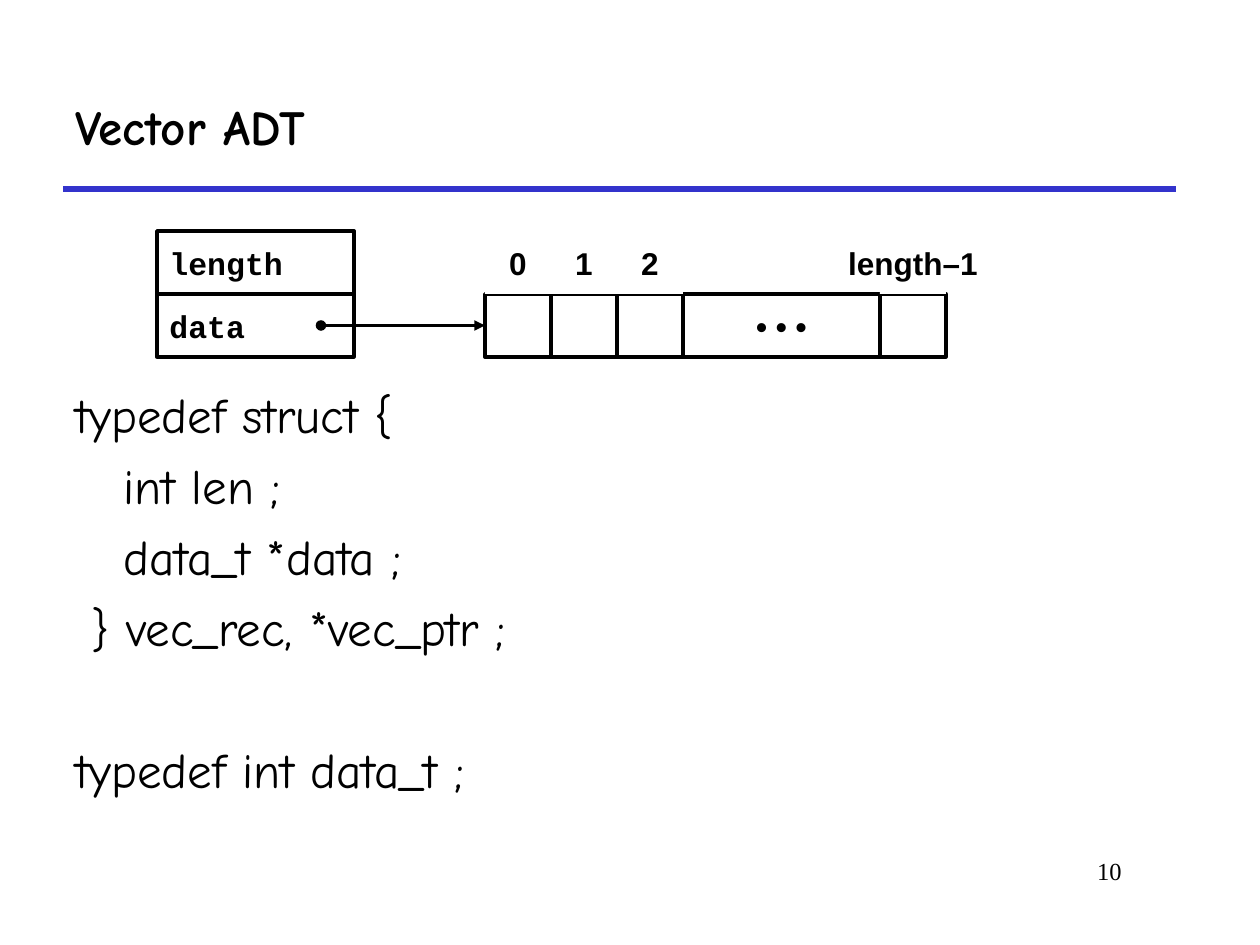
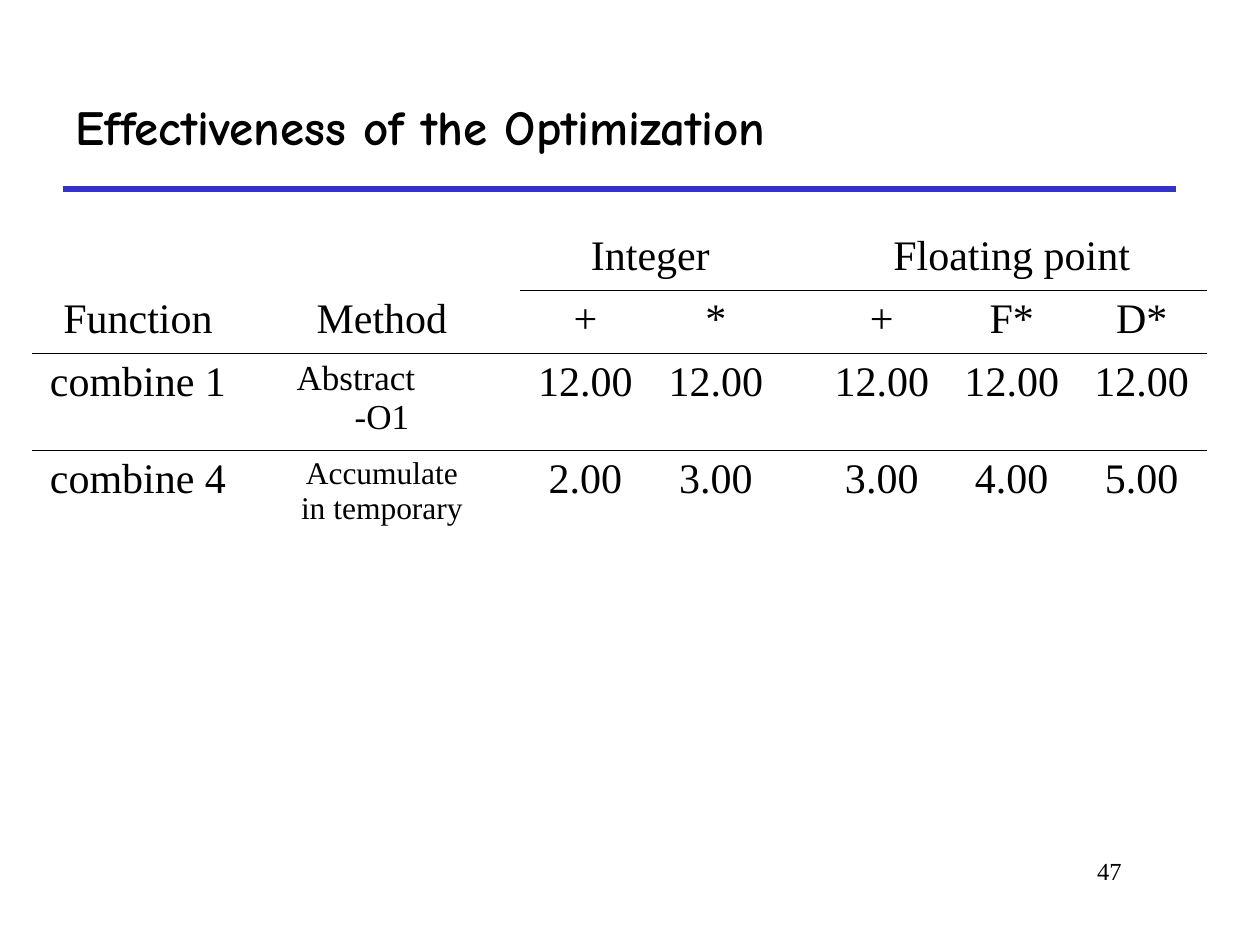
from dataclasses import dataclass

from lxml.etree import SubElement
from pptx import Presentation
from pptx.dml.color import RGBColor
from pptx.enum.shapes import MSO_CONNECTOR as Connector, MSO_SHAPE as Shape
from pptx.enum.text import MSO_ANCHOR as Anchor, PP_ALIGN as Align
from pptx.oxml import parse_xml
from pptx.oxml.ns import nsdecls, qn
from pptx.util import Emu, Pt


@dataclass(frozen=True)
class Theme:
    ink: str = "000000"
    paper: str = "FFFFFF"
    rule: str = "3333CC"
    title_font: str = "Comic Neue"
    plain_font: str = "Times New Roman"
    code_font: str = "Courier New"
    label_font: str = "Arial"
    title_size: int = 28
    table_size: int = 24
    method_size: int = 20
    small_size: int = 18
    number_size: int = 14


THEME = Theme()
PX_PER_INCH = 126
NO_TABLE_STYLE = "{2D5ABB26-0587-4C30-8999-92F81FD0307C}"

VECTOR_TITLE, VECTOR_NUMBER = "Vector ADT", "10"
RECORD_FIELDS = ["length", "data"]
# Each vector cell: index label above, text inside, width
VECTOR_CELLS = [
    ("0", "", 66),
    ("1", "", 66),
    ("2", "", 66),
    ("", "• • •", 197),
    ("length–1", "", 66),
]
# Each code line: text, indent in px, space before in points
CODE_LINES = [
    ("typedef struct {", 0, 0),
    ("int len ;", 48, 7),
    ("data_t *data ;", 48, 7),
    (" } vec_rec, *vec_ptr ;", 0, 7),
    ("typedef int data_t ;", 0, 47.6),
]

TABLE_TITLE, TABLE_NUMBER = "Effectiveness of the Optimization", "47"
COLUMN_WIDTHS = [212, 35, 206, 35, 131, 130, 36, 130, 130, 130]
ROW_HEIGHTS = [63, 63, 97, 88]
GROUPS = [("Integer", 4, 5), ("Floating point", 7, 9)]
FIRST_GROUP_COLUMN = 4
FILLED_COLUMNS = [0, 2, 4, 5, 7, 8, 9]
TABLE_ROWS = [
    ["Function", "Method", "+", "*", "+", "F*", "D*"],
    ["combine 1", "Abstract\n-O1", "12.00", "12.00", "12.00", "12.00", "12.00"],
    ["combine 4", "Accumulate in temporary", "2.00", "3.00", "3.00", "4.00", "5.00"],
]
METHOD_SIZES = [THEME.table_size, THEME.method_size, THEME.small_size]


def px(length):
    return Emu(round(length * 914400 / PX_PER_INCH))


def color(value):
    return RGBColor.from_string(value)


def write(frame, text, *, font=THEME.plain_font, size=THEME.table_size, bold=False,
          align=Align.LEFT, indent=0, before=0, new_paragraph=False):
    para = frame.add_paragraph() if new_paragraph else frame.paragraphs[0]
    para.alignment = align
    para.space_before = Pt(before)
    if indent:
        properties = para._p.get_or_add_pPr()
        properties.set("marL", str(px(indent)))
        properties.set("indent", "0")
    span = para.add_run()
    span.text = text
    span.font.name, span.font.size, span.font.bold = font, Pt(size), bold
    span.font.color.rgb = color(THEME.ink)


def add_text_box(page, left, top, width, height, anchor=Anchor.TOP):
    box = page.shapes.add_textbox(*map(px, (left, top, width, height)))
    box.text_frame.word_wrap = True
    box.text_frame.vertical_anchor = anchor
    return box.text_frame


def add_box(page, left, top, width, height, text="", outlined=True, **text_format):
    box = page.shapes.add_shape(Shape.RECTANGLE, *map(px, (left, top, width, height)))
    box.shadow.inherit = False
    box.fill.solid()
    box.fill.fore_color.rgb = color(THEME.paper)
    if outlined:
        box.line.color.rgb = color(THEME.ink)
        box.line.width = Pt(2)
    else:
        box.line.fill.background()
    if text:
        box.text_frame.word_wrap = False
        box.text_frame.vertical_anchor = Anchor.MIDDLE
        write(box.text_frame, text, size=THEME.small_size, bold=True, **text_format)


def add_line(page, left, right, y, line_color, width, head=None, tail=None):
    line = page.shapes.add_connector(Connector.STRAIGHT, px(left), px(y), px(right), px(y))
    line.line.color.rgb = color(line_color)
    line.line.width = Pt(width)
    for tag, kind in (("a:headEnd", head), ("a:tailEnd", tail)):
        if kind:
            SubElement(line.line._ln, qn(tag), type=kind)
    SubElement(line._element.spPr, qn("a:effectLst"))


def add_page(deck, title, number):
    """Add a blank page with the shared rule, page number and title."""
    page = deck.slides.add_slide(deck.slide_layouts[6])
    add_line(page, 63, 1176, 189, THEME.rule, 3)
    write(add_text_box(page, 955, 850, 179, 63), number,
          size=THEME.number_size, align=Align.RIGHT)
    write(add_text_box(page, 63, 63, 1113, 126, Anchor.MIDDLE), title,
          font=THEME.title_font, size=THEME.title_size, bold=True)
    return page


def draw_vector(page):
    row_height, record_top = 63, 231
    cells_top = record_top + row_height
    cells_left = 485
    for row, field in enumerate(RECORD_FIELDS):
        add_box(page, 157, record_top + row * row_height, 197, row_height, field,
                font=THEME.code_font)

    label_format = dict(font=THEME.label_font, align=Align.CENTER)
    labels = []
    left = cells_left
    for label, content, width in VECTOR_CELLS:
        add_box(page, left, cells_top, width, row_height, content, **label_format)
        if label:
            labels.append((label, left, width))
        left += width
    add_line(page, 321, cells_left, cells_top + row_height / 2, THEME.ink, 2,
             head="oval", tail="triangle")
    for label, left, width in labels:
        add_box(page, left, record_top, width, row_height, label, outlined=False,
                **label_format)


def write_code(page):
    frame = add_text_box(page, 63, 378, 1144, 451)
    for number, (text, indent, before) in enumerate(CODE_LINES):
        write(frame, text, font=THEME.title_font, size=THEME.title_size,
              indent=indent, before=before, new_paragraph=number > 0)


def add_border(cell, side):
    line = parse_xml(
        f'<a:{side} {nsdecls("a")} w="5715"><a:solidFill>'
        f'<a:srgbClr val="{THEME.ink}"/></a:solidFill></a:{side}>')
    properties = cell._tc.get_or_add_tcPr()
    properties.insert(len(properties.findall(qn("a:lnT"))), line)


def rule_below(table, row, first_column):
    for column in range(first_column, len(COLUMN_WIDTHS)):
        add_border(table.cell(row, column), "lnB")
        add_border(table.cell(row + 1, column), "lnT")


def draw_table(page):
    size = len(ROW_HEIGHTS), len(COLUMN_WIDTHS)
    place = map(px, (32, 227, sum(COLUMN_WIDTHS), sum(ROW_HEIGHTS)))
    table = page.shapes.add_table(*size, *place).table
    table.first_row = table.horz_banding = False
    table._tbl.tblPr.find(qn("a:tableStyleId")).text = NO_TABLE_STYLE
    for column, width in zip(table.columns, COLUMN_WIDTHS):
        column.width = px(width)
    for row, height in zip(table.rows, ROW_HEIGHTS):
        row.height = px(height)
    for cell in table.iter_cells():
        cell.fill.background()

    for text, first, last in GROUPS:
        table.cell(0, first).merge(table.cell(0, last))
        write(table.cell(0, first).text_frame, text, align=Align.CENTER)
    for row, (values, method_size) in enumerate(zip(TABLE_ROWS, METHOD_SIZES), start=1):
        for column, value in zip(FILLED_COLUMNS, values):
            frame = table.cell(row, column).text_frame
            text_size = method_size if column == 2 else THEME.table_size
            *lead, last = value.split("\n")
            for text in lead:
                write(frame, text, size=text_size, indent=5)
            write(frame, last, size=text_size, align=Align.CENTER,
                  new_paragraph=bool(lead))
    rule_below(table, 0, FIRST_GROUP_COLUMN)
    rule_below(table, 1, 0)


def main():
    deck = Presentation()
    deck.slide_width, deck.slide_height = px(1260), px(945)

    vector_page = add_page(deck, VECTOR_TITLE, VECTOR_NUMBER)
    write_code(vector_page)
    draw_vector(vector_page)

    draw_table(add_page(deck, TABLE_TITLE, TABLE_NUMBER))
    deck.save("out.pptx")


if __name__ == "__main__":
    main()
